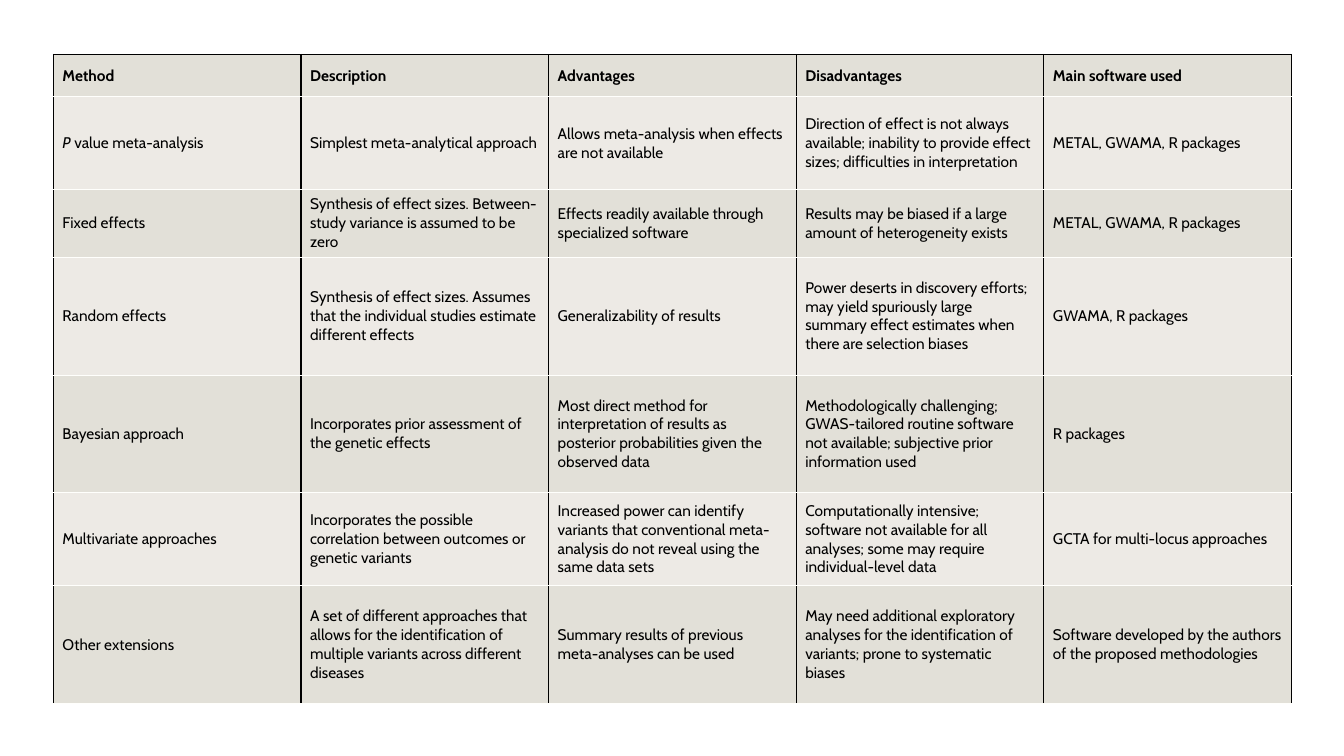
from lxml import etree
from pptx import Presentation
from pptx.dml import color
from pptx.enum import text
from pptx.oxml import ns
from pptx.util import Inches, Pt

FONT = "Cabin"
BLACK, OFF_WHITE = "000000", "FFFFFC"
DARK_BAND, LIGHT_BAND = "E2E0D8", "EDEAE5"
COLUMN_WIDTH = 2.456
ROW_HEIGHTS = [0.42, 0.92, 0.67, 1.17, 1.17, 0.92, 1.17]
ROWS = [
    ["Method", "Description", "Advantages", "Disadvantages", "Main software used"],
    ["P value meta-analysis",
     "Simplest meta-analytical approach",
     "Allows meta-analysis when effects are not available",
     "Direction of effect is not always available; inability to provide effect sizes; "
     "difficulties in interpretation",
     "METAL, GWAMA, R packages"],
    ["Fixed effects",
     "Synthesis of effect sizes. Between-study variance is assumed to be zero",
     "Effects readily available through specialized software",
     "Results may be biased if a large amount of heterogeneity exists",
     "METAL, GWAMA, R packages"],
    ["Random effects",
     "Synthesis of effect sizes. Assumes that the individual studies estimate different effects",
     "Generalizability of results",
     "Power deserts in discovery efforts; may yield spuriously large summary effect estimates "
     "when there are selection biases",
     "GWAMA, R packages"],
    ["Bayesian approach",
     "Incorporates prior assessment of the genetic effects",
     "Most direct method for interpretation of results as posterior probabilities given the "
     "observed data",
     "Methodologically challenging; GWAS-tailored routine software not available; subjective "
     "prior information used",
     "R packages"],
    ["Multivariate approaches",
     "Incorporates the possible correlation between outcomes or genetic variants",
     "Increased power can identify variants that conventional meta-analysis do not reveal using "
     "the same data sets",
     "Computationally intensive; software not available for all analyses; some may require "
     "individual-level data",
     "GCTA for multi-locus approaches"],
    ["Other extensions",
     "A set of different approaches that allows for the identification of multiple variants "
     "across different diseases",
     "Summary results of previous meta-analyses can be used",
     "May need additional exploratory analyses for the identification of variants; prone to "
     "systematic biases",
     "Software developed by the authors\vof the proposed methodologies"],
]


def rgb(value):
    return color.RGBColor.from_string(value)


def add_border(cell, side, line_color, width):
    tc_pr = cell._tc.get_or_add_tcPr()
    line = etree.SubElement(tc_pr, ns.qn(f"a:ln{side}"), w=str(Pt(width)))
    fill = etree.SubElement(line, ns.qn("a:solidFill"))
    etree.SubElement(fill, ns.qn("a:srgbClr"), val=line_color)


def write_text(cell, content, bold):
    p = cell.text_frame.paragraphs[0]
    if content.startswith("P value"):
        p.text = content[:2]
        p.runs[0].font.italic = True
        p.add_run().text = content[2:]
    else:
        p.text = content
    for r in p.runs:
        r.font.name = FONT
        r.font.size = Pt(11)
        r.font.bold = bold
        r.font.color.rgb = rgb(BLACK)


def style_cell(cell, row):
    top = (BLACK, 1) if row == 0 else (OFF_WHITE, 0.5)
    for side, border in zip("LRTB", [(BLACK, 1), (BLACK, 1), top, (OFF_WHITE, 0.5)]):
        add_border(cell, side, *border)
    cell.fill.solid()
    cell.fill.fore_color.rgb = rgb(LIGHT_BAND if row % 2 else DARK_BAND)
    cell.vertical_anchor = text.MSO_ANCHOR.MIDDLE
    cell.margin_left = cell.margin_right = Inches(0.09)
    cell.margin_top = cell.margin_bottom = Inches(0.05)


def add_methods_table(s):
    columns = len(ROWS[0])
    frame = s.shapes.add_table(len(ROWS), columns, Inches(0.53), Inches(0.54),
                               Inches(columns * COLUMN_WIDTH), Inches(sum(ROW_HEIGHTS)))
    table = frame.table
    table.first_row = table.horz_banding = False
    for column in table.columns:
        column.width = Inches(COLUMN_WIDTH)
    for row, (height, contents) in enumerate(zip(ROW_HEIGHTS, ROWS)):
        table.rows[row].height = Inches(height)
        for col, content in enumerate(contents):
            cell = table.cell(row, col)
            style_cell(cell, row)
            write_text(cell, content, bold=row == 0)


def main():
    prs = Presentation()
    prs.slide_width, prs.slide_height = Inches(13.33), Inches(7.5)
    s = prs.slides.add_slide(prs.slide_layouts[6])
    add_methods_table(s)
    prs.save("out.pptx")


if __name__ == "__main__":
    main()
